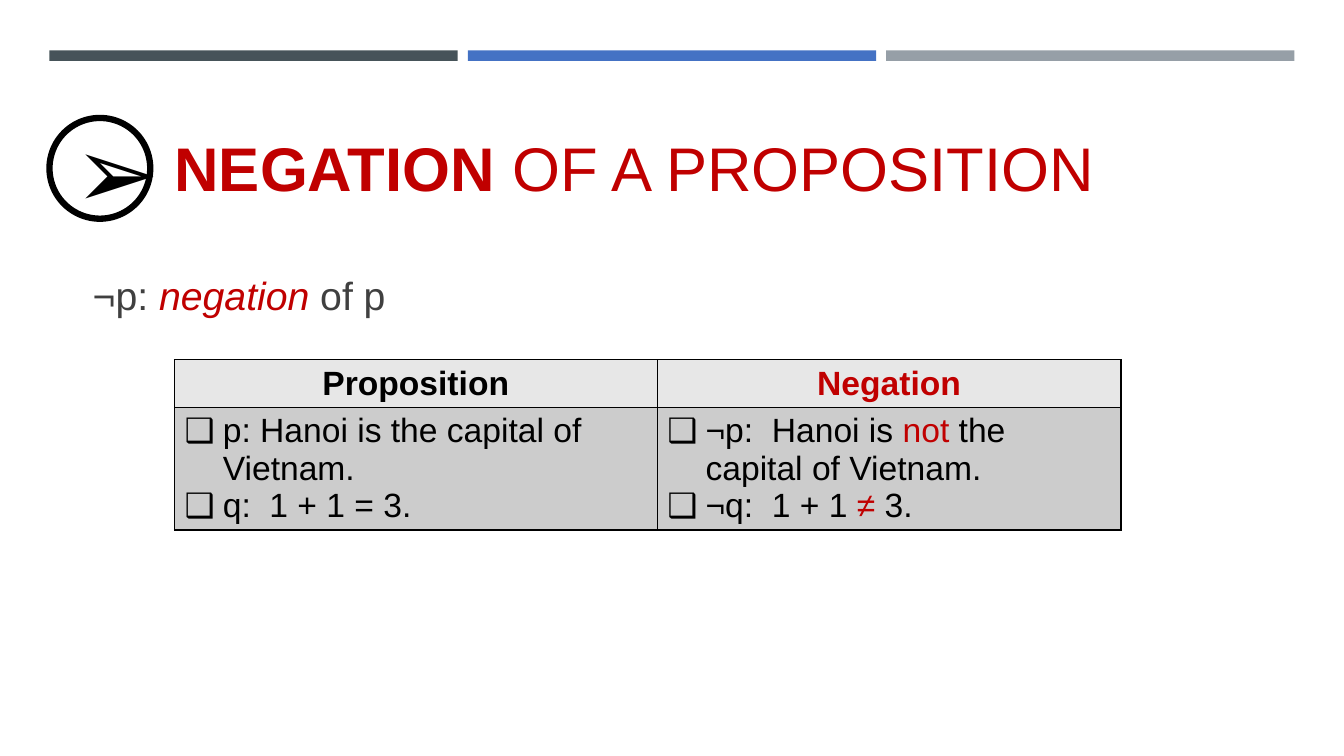
from dataclasses import dataclass
from typing import NamedTuple

from lxml.etree import SubElement
from pptx import Presentation
from pptx.dml.color import RGBColor
from pptx.enum.shapes import MSO_SHAPE as Preset
from pptx.enum.text import MSO_ANCHOR as Anchor, MSO_AUTO_SIZE as AutoSize, PP_ALIGN as Align
from pptx.oxml.ns import qn
from pptx.util import Inches, Pt

SLIDE_WIDTH = Inches(13.33)
SLIDE_HEIGHT = Inches(7.5)
BLACK, WHITE, RED, GREY = "000000", "FFFFFF", "C00000", "404040"
BULLET_INDENT = Inches(0.38)


class Box(NamedTuple):
    left: float
    top: float
    width: float
    height: float

    def place(self) -> tuple[int, int, int, int]:
        return (
            int(SLIDE_WIDTH * self.left / 100),
            int(SLIDE_HEIGHT * self.top / 100),
            int(SLIDE_WIDTH * self.width / 100),
            int(SLIDE_HEIGHT * self.height / 100),
        )


@dataclass(frozen=True)
class Span:
    text: str
    color: str = BLACK
    bold: bool = False
    italic: bool = False


@dataclass(frozen=True)
class TableColumn:
    share: float
    heading: Span
    items: list[list[Span]]


TITLE_BOX = Box(12.23, 10.27, 83.03, 17.33)
BODY_BOX = Box(6.15, 34.4, 90.45, 9.33)
TABLE_BOX = Box(12.98, 47.6, 70.43, 22.4)
BADGE_BOX = Box(3.68, 15.6, 7.5, 13.33)
BAR_BOX = Box(3.68, 6.67, 30.38, 1.4)
BAR_STEP = 31.13
BAR_COLORS = ("465359", "4472C4", "969FA7")
HEADER_SHARE = 0.28

TITLE = [Span("NEGATION", RED, bold=True), Span(" OF A PROPOSITION", RED)]
DEFINITION = [Span("¬p: ", GREY), Span("negation", RED, italic=True), Span(" of p", GREY)]
COLUMNS = [
    TableColumn(0.51, Span("Proposition", bold=True), [
        [Span("p: Hanoi is the capital of Vietnam.")],
        [Span("q:  1 + 1 = 3.")],
    ]),
    TableColumn(0.49, Span("Negation", RED, bold=True), [
        [Span("¬p:  Hanoi is "), Span("not ", RED), Span("the capital of Vietnam.")],
        [Span("¬q:  1 + 1 "), Span("≠", RED), Span(" 3.")],
    ]),
]


def color(value: str) -> RGBColor:
    return RGBColor.from_string(value)


def write(paragraph, spans: list[Span], size: float, align=Align.LEFT, font: str = "Arial") -> None:
    paragraph.alignment = align
    for span in spans:
        run = paragraph.add_run()
        run.text = span.text
        run.font.name = font
        run.font.size = Pt(size)
        run.font.bold = span.bold
        run.font.italic = span.italic
        run.font.color.rgb = color(span.color)


def set_bullet(paragraph, character: str = "") -> None:
    properties = paragraph._p.get_or_add_pPr()
    indent = BULLET_INDENT if character else 0
    properties.set("marL", str(indent))
    properties.set("indent", str(-indent))
    if character:
        SubElement(properties, qn("a:buFont")).set("typeface", "Arial")
        SubElement(properties, qn("a:buChar")).set("char", character)
    else:
        SubElement(properties, qn("a:buNone"))


def fill_placeholder(shape, box: Box, spans: list[Span], size: float, anchor) -> None:
    shape.left, shape.top, shape.width, shape.height = box.place()
    frame = shape.text_frame
    frame.word_wrap = True
    frame.auto_size = AutoSize.NONE
    frame.vertical_anchor = anchor
    paragraph = frame.paragraphs[0]
    set_bullet(paragraph)
    paragraph.space_before = Pt(0)
    write(paragraph, spans, size)


def add_preset(slide, preset, box: Box, fill: str):
    shape = slide.shapes.add_shape(preset, *box.place())
    shape.shadow.inherit = False
    shape.fill.solid()
    shape.fill.fore_color.rgb = color(fill)
    shape.line.fill.background()
    return shape


def add_badge(slide) -> None:
    badge = add_preset(slide, Preset.OVAL, BADGE_BOX, WHITE)
    badge.line.color.rgb = color(BLACK)
    badge.line.width = Pt(4.5)
    badge.text_frame.vertical_anchor = Anchor.MIDDLE
    write(badge.text_frame.paragraphs[0], [Span("➢", bold=True)], 72, Align.CENTER, "Roboto")


def style_cell(cell, fill: str) -> None:
    properties = cell._tc.get_or_add_tcPr()
    for side in ("lnL", "lnR", "lnT", "lnB"):
        border = SubElement(properties, qn(f"a:{side}"), w=str(Pt(1)))
        SubElement(SubElement(border, qn("a:solidFill")), qn("a:srgbClr"), val=BLACK)
    cell.fill.solid()
    cell.fill.fore_color.rgb = color(fill)


def add_comparison(slide, columns: list[TableColumn]) -> None:
    left, top, width, height = TABLE_BOX.place()
    table = slide.shapes.add_table(2, len(columns), left, top, width, height).table
    table.rows[0].height = int(height * HEADER_SHARE)
    table.rows[1].height = height - table.rows[0].height
    for index, column in enumerate(columns):
        table.columns[index].width = int(width * column.share)
        header, body = table.cell(0, index), table.cell(1, index)
        style_cell(header, "E7E7E7")
        style_cell(body, "CCCCCC")
        write(header.text_frame.paragraphs[0], [column.heading], 24, Align.CENTER)
        frame = body.text_frame
        for number, spans in enumerate(column.items):
            paragraph = frame.add_paragraph() if number else frame.paragraphs[0]
            set_bullet(paragraph, "❑")
            write(paragraph, spans, 24)


def main() -> None:
    presentation = Presentation()
    presentation.slide_width = SLIDE_WIDTH
    presentation.slide_height = SLIDE_HEIGHT
    slide = presentation.slides.add_slide(presentation.slide_layouts[1])
    for index, fill in enumerate(BAR_COLORS):
        bar = BAR_BOX._replace(left=BAR_BOX.left + index * BAR_STEP)
        add_preset(slide, Preset.RECTANGLE, bar, fill)
    fill_placeholder(slide.shapes.title, TITLE_BOX, TITLE, 44, Anchor.BOTTOM)
    fill_placeholder(slide.placeholders[1], BODY_BOX, DEFINITION, 28, Anchor.MIDDLE)
    add_comparison(slide, COLUMNS)
    add_badge(slide)
    presentation.save("out.pptx")


if __name__ == "__main__":
    main()
